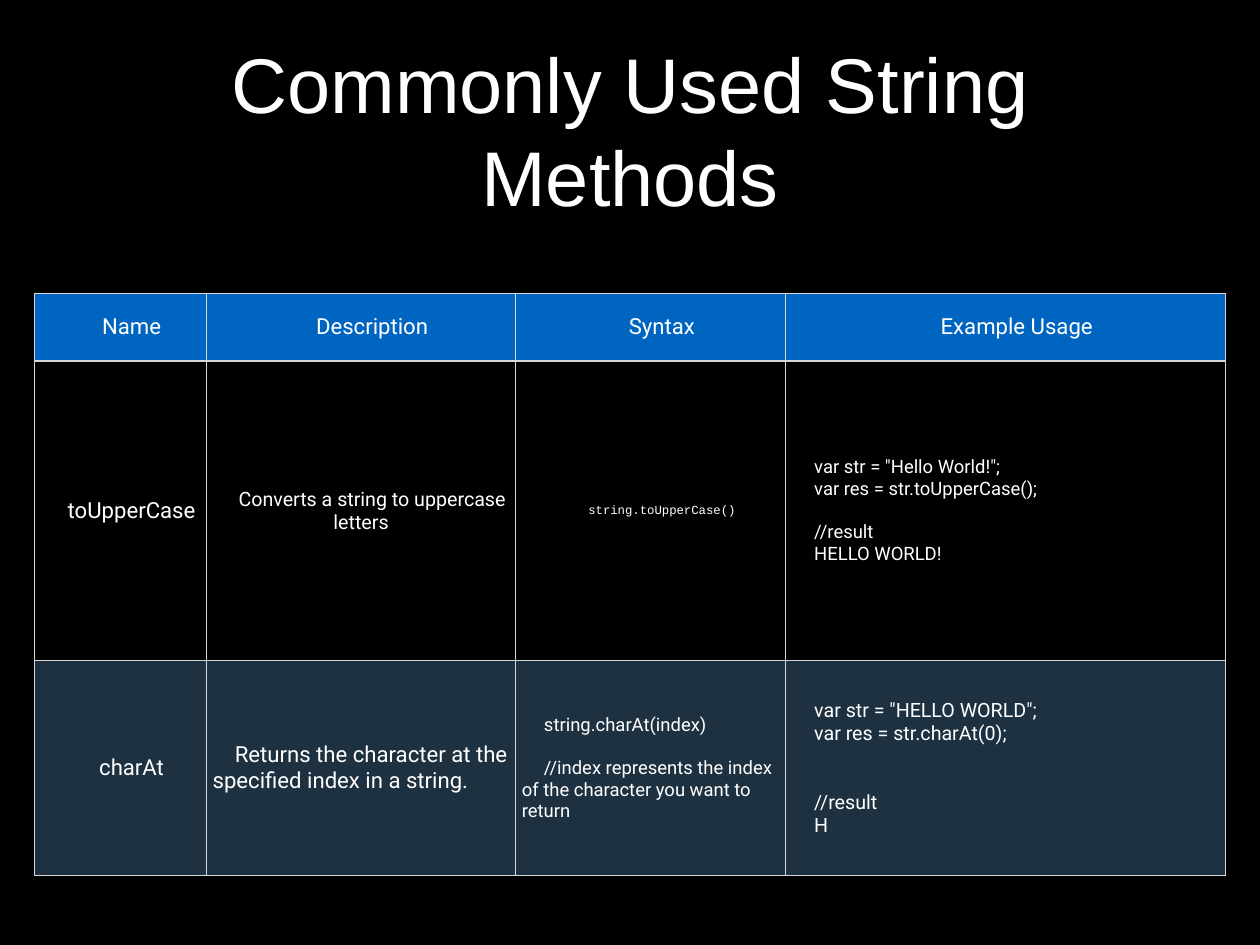
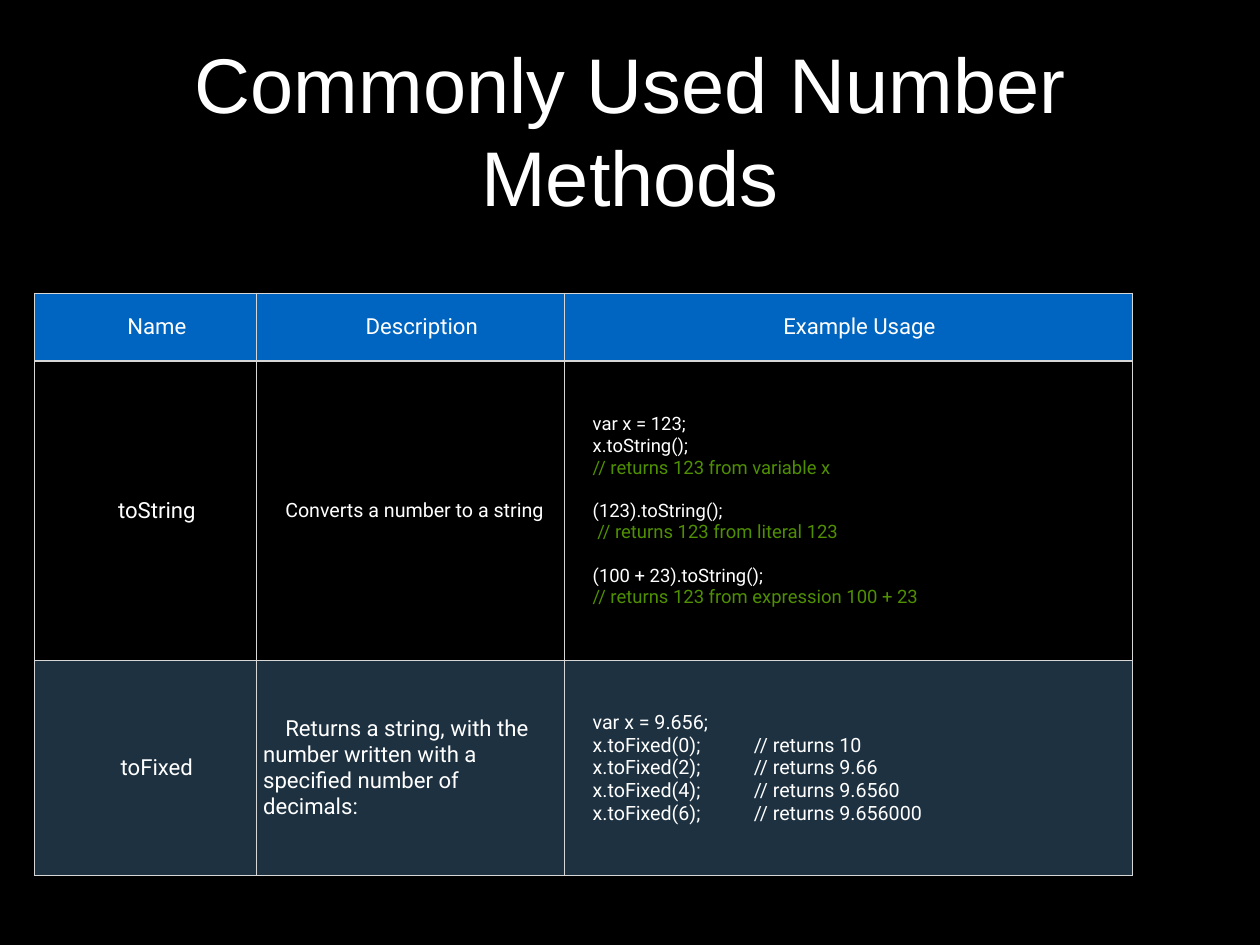
from dataclasses import dataclass

from lxml import etree
from pptx import Presentation
from pptx import util as u
from pptx.dml.color import RGBColor
from pptx.enum import text
from pptx.oxml.ns import qn

BLACK = RGBColor(0x00, 0x00, 0x00)
WHITE = RGBColor(0xFF, 0xFF, 0xFF)
HEADER_BLUE = RGBColor(0x00, 0x65, 0xC1)
BAND_BLUE = RGBColor(0x73, 0xC0, 0xFC)
GRID_GREY = RGBColor(0xD6, 0xD7, 0xD6)
COMMENT_GREEN = RGBColor(0x4F, 0x8F, 0x00)

SLIDE_W, SLIDE_H = 14.22, 10.67
TITLE_BOX = (1.04, 0.28, 12.14, 2.36)
TABLE_LEFT, TABLE_TOP = 0.39, 3.31
ROW_HEIGHTS = (0.77, 3.38, 2.43)
CELL_MARGIN = 0.07
FIRST_LINE_INDENT = 0.25
LINE_HEIGHT = 1.17
BAND_OPACITY = 26

CENTER = text.PP_ALIGN.CENTER
LEFT = text.PP_ALIGN.LEFT


@dataclass
class Entry:
    content: str
    size: int = 18
    align: text.PP_ALIGN = LEFT
    font: str = "Roboto"
    comment_color: RGBColor = WHITE


def label(content, size=18, font="Roboto"):
    return Entry(content, size, CENTER, font)


def add_run(paragraph, content, size, font, color):
    run = paragraph.add_run()
    run.text = content
    run.font.size = u.Pt(size)
    run.font.name = font
    run.font.color.rgb = color


def add_title(slide, content):
    frame = slide.shapes.add_textbox(*map(u.Inches, TITLE_BOX)).text_frame
    frame.word_wrap = True
    frame.vertical_anchor = text.MSO_ANCHOR.MIDDLE
    frame.margin_left = frame.margin_right = 0
    frame.margin_top = frame.margin_bottom = 0
    heading = frame.paragraphs[0]
    heading.alignment = CENTER
    add_run(heading, content, 63, "Arial", WHITE)


def set_borders(cell, widths):
    properties = cell._tc.get_or_add_tcPr()
    for position, (side, width) in enumerate(widths.items()):
        line = etree.Element(qn(f"a:ln{side}"), w=str(u.Pt(width)))
        fill = etree.SubElement(line, qn("a:solidFill"))
        etree.SubElement(fill, qn("a:srgbClr"), val=str(GRID_GREY))
        properties.insert(position, line)


def fill_cell(cell, row):
    if row == 1:
        cell.fill.background()
        return
    cell.fill.solid()
    cell.fill.fore_color.rgb = HEADER_BLUE if row == 0 else BAND_BLUE
    if row == 2:
        color = cell._tc.tcPr.find(f"{qn('a:solidFill')}/{qn('a:srgbClr')}")
        etree.SubElement(color, qn("a:alpha"), val=str(BAND_OPACITY * 1000))


def write_entry(cell, entry):
    cell.vertical_anchor = text.MSO_ANCHOR.MIDDLE
    cell.margin_left = cell.margin_right = u.Inches(CELL_MARGIN)
    cell.margin_top = cell.margin_bottom = u.Inches(CELL_MARGIN)
    frame = cell.text_frame
    paragraph, skipped = frame.paragraphs[0], 0
    for number, line in enumerate(entry.content.split("\n")):
        if not line:
            skipped += 1
            continue
        if number:
            paragraph = frame.add_paragraph()
        paragraph.alignment = entry.align
        indent = paragraph._p.get_or_add_pPr()
        indent.set("marL", "0")
        indent.set("indent", str(u.Inches(FIRST_LINE_INDENT)))
        if skipped:
            paragraph.space_before = u.Pt(round(skipped * entry.size * LINE_HEIGHT, 1))
            skipped = 0
        is_comment = line.strip().startswith("//")
        color = entry.comment_color if is_comment else WHITE
        add_run(paragraph, line, entry.size, entry.font, color)


def add_method_table(slide, column_widths, entries):
    box = (TABLE_LEFT, TABLE_TOP, sum(column_widths), sum(ROW_HEIGHTS))
    table = slide.shapes.add_table(
        len(ROW_HEIGHTS), len(column_widths), *map(u.Inches, box)).table
    table.horz_banding = False
    table.first_row = False
    for column, width in zip(table.columns, column_widths):
        column.width = u.Inches(width)
    for row, height in zip(table.rows, ROW_HEIGHTS):
        row.height = u.Inches(height)
    for r, row_entries in enumerate(entries):
        widths = {"L": 1, "R": 1, "T": 2 if r == 1 else 1, "B": 2 if r == 0 else 1}
        for c, entry in enumerate(row_entries):
            cell = table.cell(r, c)
            write_entry(cell, entry)
            fill_cell(cell, r)
            set_borders(cell, widths)


def add_method_slide(deck, title, headings, column_widths, methods):
    slide = deck.slides.add_slide(deck.slide_layouts[6])
    slide.background.fill.solid()
    slide.background.fill.fore_color.rgb = BLACK
    add_title(slide, title)
    add_method_table(slide, column_widths, [list(map(label, headings)), *methods])


STRING_METHODS = [
    [
        label("toUpperCase"),
        label("Converts a string to uppercase letters", 16),
        label("string.toUpperCase()", 10, "Courier New"),
        Entry("""var str = "Hello World!";
var res = str.toUpperCase();

//result
HELLO WORLD!""", 15),
    ],
    [
        label("charAt"),
        Entry("Returns the character at the specified index in a string."),
        Entry("""string.charAt(index)

//index represents the index of the character you want to return""", 15),
        Entry("""var str = "HELLO WORLD";
var res = str.charAt(0);


//result
H""", 16),
    ],
]

NUMBER_METHODS = [
    [
        label("toString"),
        Entry("Converts a number to a string", 16),
        Entry("""var x = 123;
x.toString();
// returns 123 from variable x

(123).toString();
 // returns 123 from literal 123

(100 + 23).toString();
// returns 123 from expression 100 + 23""", 15, comment_color=COMMENT_GREEN),
    ],
    [
        label("toFixed"),
        Entry("Returns a string, with the number written with a specified number of decimals:"),
        Entry("""var x = 9.656;
x.toFixed(0);           // returns 10
x.toFixed(2);           // returns 9.66
x.toFixed(4);           // returns 9.6560
x.toFixed(6);           // returns 9.656000""", 16),
    ],
]


def main():
    deck = Presentation()
    deck.slide_width, deck.slide_height = u.Inches(SLIDE_W), u.Inches(SLIDE_H)
    add_method_slide(
        deck, "Commonly Used String Methods",
        ("Name", "Description", "Syntax", "Example Usage"),
        (1.94, 3.49, 3.05, 4.96), STRING_METHODS)
    add_method_slide(
        deck, "Commonly Used Number Methods",
        ("Name", "Description", "Example Usage"),
        (2.51, 3.47, 6.41), NUMBER_METHODS)
    deck.save("out.pptx")


if __name__ == "__main__":
    main()
